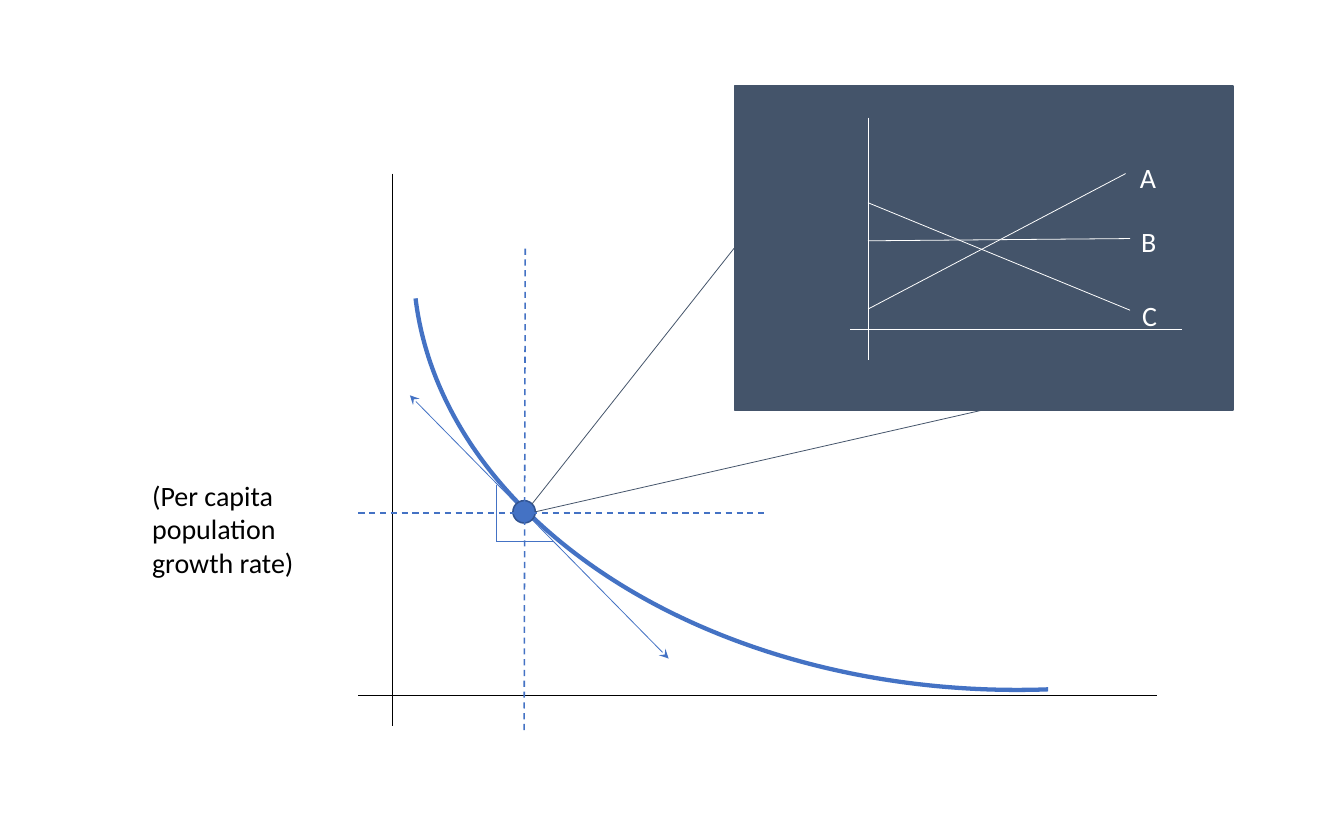
from dataclasses import dataclass

from lxml import etree
from pptx import Presentation
from pptx.dml.color import RGBColor
from pptx.enum.dml import MSO_LINE
from pptx.enum.shapes import MSO_CONNECTOR, MSO_SHAPE
from pptx.enum.text import MSO_AUTO_SIZE
from pptx.oxml.ns import qn
from pptx.shapes.autoshape import Shape
from pptx.slide import Slide
from pptx.util import Inches, Pt

STRAIGHT = MSO_CONNECTOR.STRAIGHT
DASH = MSO_LINE.DASH
RECTANGLE, ARC, OVAL = MSO_SHAPE.RECTANGLE, MSO_SHAPE.ARC, MSO_SHAPE.OVAL
FIT_SHAPE = MSO_AUTO_SIZE.SHAPE_TO_FIT_TEXT

BLACK = RGBColor(0x00, 0x00, 0x00)
WHITE = RGBColor(0xFF, 0xFF, 0xFF)
BLUE = RGBColor(0x44, 0x72, 0xC4)
DARK_BLUE = RGBColor(0x32, 0x54, 0x91)
SLATE = RGBColor(0x44, 0x54, 0x6A)


@dataclass(frozen=True)
class Line:
    start: tuple[float, float]
    end: tuple[float, float]
    color: RGBColor
    width: float = 0.5
    dashed: bool = False
    arrows: bool = False


@dataclass(frozen=True)
class Label:
    text: str
    left: float
    top: float
    width: float
    height: float
    color: RGBColor


TANGENT = Line((3.66, 3.53), (5.97, 5.88), BLUE, arrows=True)
LINES = (
    # Main axes
    Line((3.5, 1.55), (3.5, 6.48), BLACK),
    Line((10.33, 6.21), (3.2, 6.21), BLACK),
    # Guides through the point
    Line((4.69, 2.22), (4.68, 6.52), BLUE, 1, dashed=True),
    Line((3.2, 4.58), (6.83, 4.58), BLUE, 1, dashed=True),
    # Slope triangle
    Line((4.43, 4.33), (4.43, 4.83), BLUE),
    Line((4.94, 4.83), (4.43, 4.83), BLUE),
    # Inset axes
    Line((7.75, 1.05), (7.75, 3.21), WHITE),
    Line((10.55, 2.94), (7.59, 2.94), WHITE),
    # Inset trends A, B and C
    Line((7.75, 2.76), (10.05, 1.55), WHITE),
    Line((7.75, 2.15), (10.09, 2.13), WHITE),
    Line((7.75, 1.81), (10.09, 2.77), WHITE),
    # Callout from the point to the inset
    Line((4.75, 4.5), (6.56, 2.21), SLATE),
    Line((4.78, 4.57), (8.78, 3.66), SLATE),
)
LABELS = (
    Label("A", 10.08, 1.38, 0.46, 0.4, WHITE),
    Label("B", 10.09, 1.96, 0.46, 0.4, WHITE),
    Label("C", 10.1, 2.62, 0.46, 0.4, WHITE),
    Label("(Per capita population growth rate)", 1.26, 4.22, 1.64, 1.01, BLACK),
)


def draw_line(slide: Slide, line: Line) -> None:
    points = [Inches(value) for value in (*line.start, *line.end)]
    connector = slide.shapes.add_connector(STRAIGHT, *points)
    connector.line.color.rgb = line.color
    connector.line.width = Pt(line.width)
    if line.dashed:
        connector.line.dash_style = DASH
    properties = connector.element.spPr
    if line.arrows:
        outline = properties.find(qn("a:ln"))
        for end in ("a:headEnd", "a:tailEnd"):
            etree.SubElement(outline, qn(end), type="stealth")
    etree.SubElement(properties, qn("a:effectLst"))


def draw_shape(slide: Slide, kind: MSO_SHAPE, box: tuple[float, ...],
               fill: RGBColor | None, outline: RGBColor, width: float = 1) -> Shape:
    shape = slide.shapes.add_shape(kind, *[Inches(value) for value in box])
    shape.shadow.inherit = False
    if fill is None:
        shape.fill.background()
    else:
        shape.fill.solid()
        shape.fill.fore_color.rgb = fill
    shape.line.color.rgb = outline
    shape.line.width = Pt(width)
    return shape


def draw_growth_curve(slide: Slide) -> None:
    """Draw the falling curve as an arc flipped both ways."""
    curve = draw_shape(slide, ARC, (3.69, -1.49, 10.78, 7.65), None, BLUE, 2.75)
    curve.adjustments[0] = 159.497
    curve.adjustments[1] = 213.894
    for flip in ("flipH", "flipV"):
        curve.element.spPr.xfrm.set(flip, "1")


def draw_label(slide: Slide, label: Label) -> None:
    box = (label.left, label.top, label.width, label.height)
    text_box = slide.shapes.add_textbox(*[Inches(value) for value in box])
    frame = text_box.text_frame
    frame.word_wrap = True
    frame.auto_size = FIT_SHAPE
    run = frame.paragraphs[0].add_run()
    run.text = label.text
    for name, value in {"name": "Calibri", "size": Pt(18)}.items():
        setattr(run.font, name, value)
    run.font.color.rgb = label.color


def main() -> None:
    presentation = Presentation()
    presentation.slide_width = Inches(12)
    presentation.slide_height = Inches(7.5)
    slide = presentation.slides.add_slide(presentation.slide_layouts[6])

    draw_shape(slide, RECTANGLE, (6.56, 0.77, 4.45, 2.89), SLATE, SLATE)
    draw_growth_curve(slide)
    draw_line(slide, TANGENT)
    draw_shape(slide, OVAL, (4.58, 4.47, 0.2, 0.2), BLUE, DARK_BLUE)
    for line in LINES:
        draw_line(slide, line)
    for label in LABELS:
        draw_label(slide, label)

    presentation.save("out.pptx")


if __name__ == "__main__":
    main()
